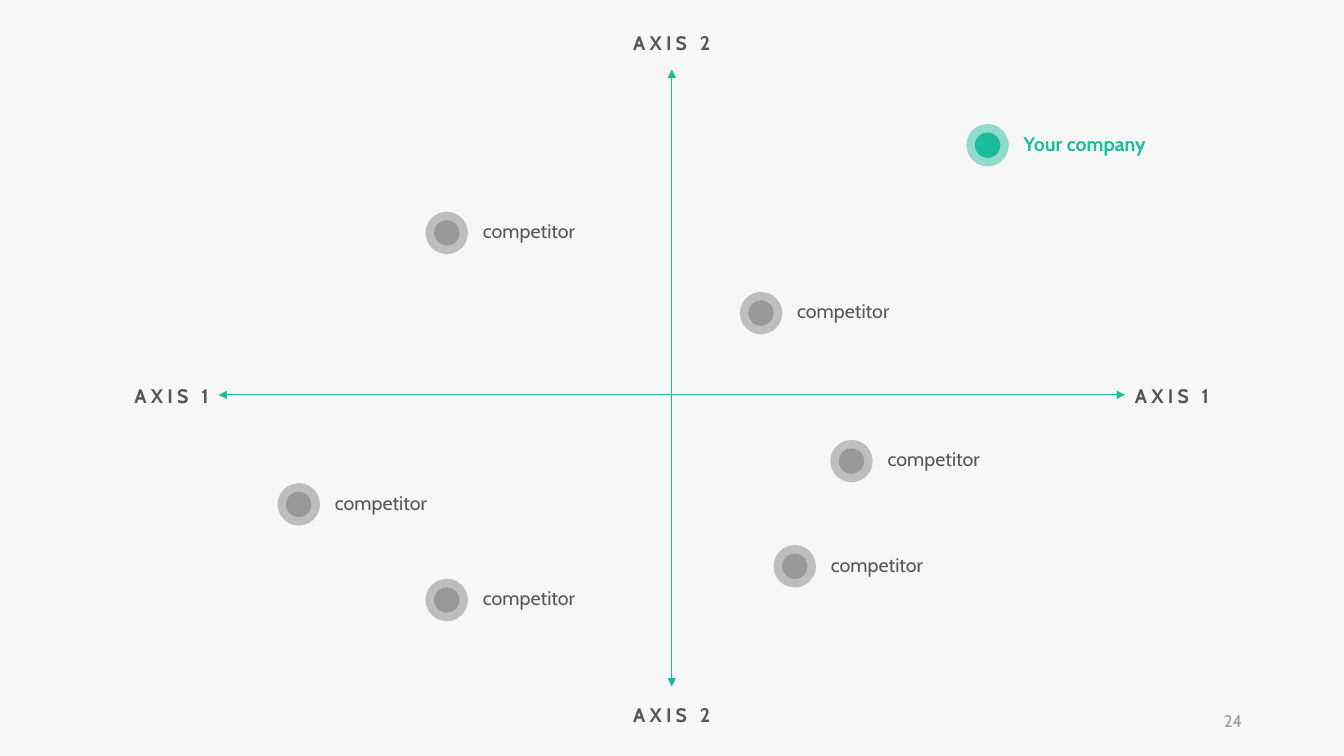
import pptx
import pptx.util
import pptx.dml.color
import pptx.enum.shapes
import pptx.enum.text
import pptx.oxml
import pptx.oxml.ns

Cm = pptx.util.Cm
Pt = pptx.util.Pt
RGBColor = pptx.dml.color.RGBColor
ALIGN = pptx.enum.text.PP_ALIGN

TEAL = RGBColor(0x1A, 0xBC, 0x9C)
DARK = RGBColor(0x56, 0x56, 0x56)
GREY = RGBColor(0x9A, 0x9A, 0x9A)
BACKGROUND = RGBColor(0xF7, 0xF7, 0xF7)
FONT = "Cabin"

SLIDE_WIDTH, SLIDE_HEIGHT = 33.87, 19.05
CENTER_X, CENTER_Y = 16.93, 9.95
AXIS_LEFT, AXIS_RIGHT = 5.51, 28.35
AXIS_TOP, AXIS_BOTTOM = 1.75, 17.3
LABEL_WIDTH, LABEL_HEIGHT = 4.75, 0.86
HALO, DOT = 1.07, 0.64
LABEL_GAP, LABEL_RISE = 0.66, 0.05

axes = [
    (CENTER_X, AXIS_TOP, CENTER_X, AXIS_BOTTOM),
    (AXIS_LEFT, CENTER_Y, AXIS_RIGHT, CENTER_Y),
]
axis_labels = [
    ("AXIS 2", CENTER_X - LABEL_WIDTH / 2, 0.64, ALIGN.CENTER),
    ("AXIS 2", CENTER_X - LABEL_WIDTH / 2, 17.58, ALIGN.CENTER),
    ("AXIS 1", AXIS_RIGHT, 9.53, ALIGN.LEFT),
    ("AXIS 1", AXIS_LEFT - LABEL_WIDTH, 9.53, ALIGN.RIGHT),
]
company = ("Your company", 24.89, 3.66)
competitors = [
    ("competitor", 19.18, 7.89),
    ("competitor", 21.46, 11.62),
    ("competitor", 20.03, 14.27),
    ("competitor", 7.53, 12.71),
    ("competitor", 11.26, 15.12),
    ("competitor", 11.26, 5.87),
]
page_number = "24"


def add_axis(shapes, start_x, start_y, end_x, end_y):
    connector = shapes.add_connector(
        pptx.enum.shapes.MSO_CONNECTOR.STRAIGHT,
        Cm(start_x), Cm(start_y), Cm(end_x), Cm(end_y))
    connector.line.color.rgb = TEAL
    connector.line.width = Pt(0.5)
    line = connector.line._get_or_add_ln()
    for end in ("a:headEnd", "a:tailEnd"):
        arrow = pptx.oxml.ns.qn(end)
        line.append(line.makeelement(arrow, {"type": "triangle"}))
    properties = connector._element.spPr
    properties.append(properties.makeelement(pptx.oxml.ns.qn("a:effectLst"), {}))


def add_circle(shapes, center_x, center_y, diameter, color, opacity):
    circle = shapes.add_shape(
        pptx.enum.shapes.MSO_SHAPE.OVAL,
        Cm(center_x - diameter / 2), Cm(center_y - diameter / 2),
        Cm(diameter), Cm(diameter))
    circle.shadow.inherit = False
    circle.line.fill.background()
    circle.fill.solid()
    circle.fill.fore_color.rgb = color
    if opacity < 100:
        fill_color = circle._element.spPr.find(".//" + pptx.oxml.ns.qn("a:srgbClr"))
        alpha = fill_color.makeelement(
            pptx.oxml.ns.qn("a:alpha"), {"val": str(opacity * 1000)})
        fill_color.append(alpha)


def add_text(shapes, text, left, top, width=LABEL_WIDTH, height=LABEL_HEIGHT,
             color=DARK, size=14, bold=False, align=ALIGN.LEFT, spacing=0, grow=True):
    box = shapes.add_textbox(Cm(left), Cm(top), Cm(width), Cm(height))
    frame = box.text_frame
    frame.word_wrap = True
    frame.vertical_anchor = pptx.enum.text.MSO_ANCHOR.MIDDLE
    if grow:
        frame.auto_size = pptx.enum.text.MSO_AUTO_SIZE.SHAPE_TO_FIT_TEXT
    paragraph = frame.paragraphs[0]
    paragraph.alignment = align
    run = paragraph.add_run()
    run.text = text
    run.font.name = FONT
    run.font.size = Pt(size)
    run.font.bold = bold
    run.font.color.rgb = color
    if spacing:
        run.font._element.set("spc", str(spacing * 100))


def add_marker(slide, name, center_x, center_y, color, halo_opacity, dot_opacity, bold):
    group = slide.shapes.add_group_shape()
    add_circle(group.shapes, center_x, center_y, HALO, color, halo_opacity)
    add_circle(group.shapes, center_x, center_y, DOT, color, dot_opacity)
    add_text(group.shapes, name, center_x + LABEL_GAP,
             center_y - LABEL_HEIGHT / 2 - LABEL_RISE, color=color, bold=bold)


def main():
    presentation = pptx.Presentation()
    presentation.slide_width = Cm(SLIDE_WIDTH)
    presentation.slide_height = Cm(SLIDE_HEIGHT)
    slide = presentation.slides.add_slide(presentation.slide_layouts[6])
    slide.background.fill.solid()
    slide.background.fill.fore_color.rgb = BACKGROUND

    for axis in axes:
        add_axis(slide.shapes, *axis)
    add_marker(slide, *company, TEAL, 46, 100, True)
    for competitor in competitors:
        add_marker(slide, *competitor, DARK, 35, 35, False)
    for text, left, top, align in axis_labels:
        add_text(slide.shapes, text, left, top, bold=True, align=align, spacing=3)
    add_text(slide.shapes, page_number, 23.93, 17.65, 7.62, 1.02,
             color=GREY, size=12, align=ALIGN.RIGHT, grow=False)
    presentation.save("out.pptx")


if __name__ == "__main__":
    main()
